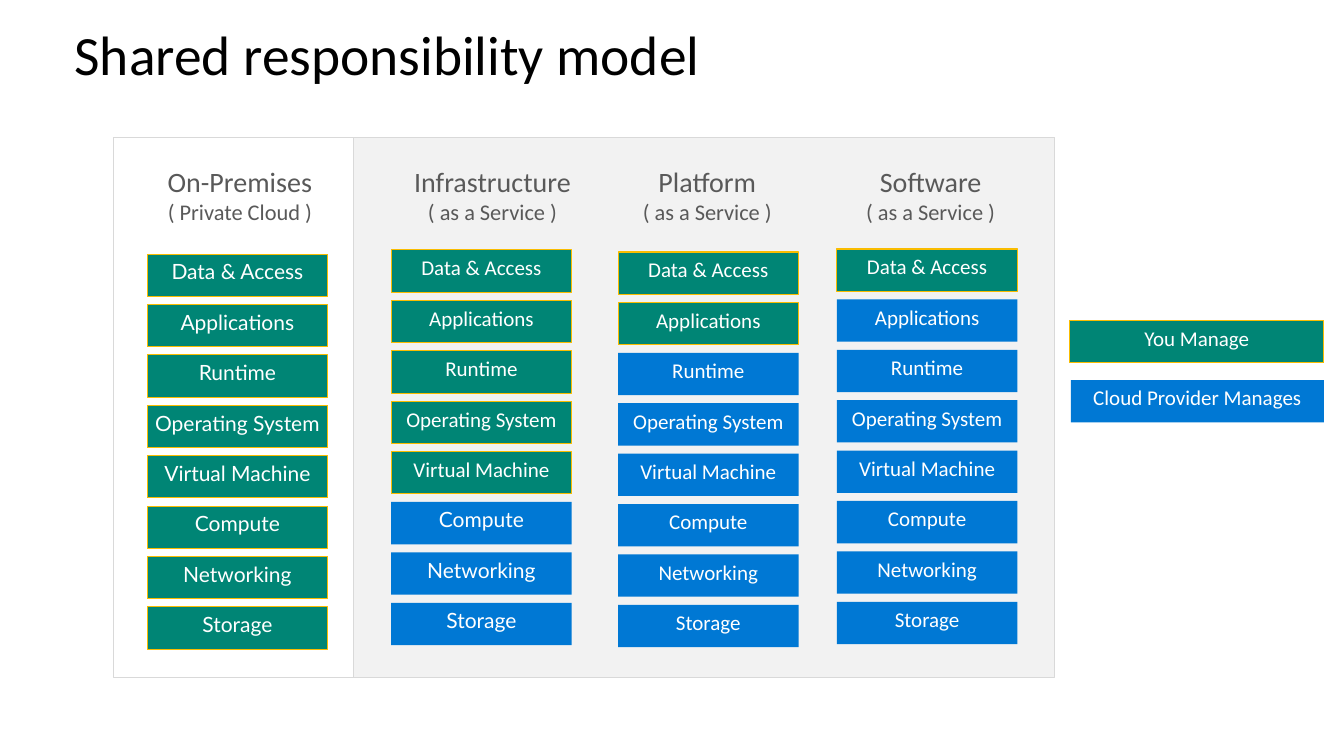
from dataclasses import dataclass

import pptx
import pptx.dml.color
import pptx.enum.shapes
import pptx.enum.text
import pptx.shapes.autoshape
import pptx.slide
import pptx.text.text
import pptx.util

Inches = pptx.util.Inches
Align = pptx.enum.text.PP_ALIGN
Anchor = pptx.enum.text.MSO_ANCHOR


@dataclass(frozen=True)
class Theme:
    customer: str = "008575"
    customer_border: str = "F9BC00"
    provider: str = "0078D4"
    panel: str = "F2F2F2"
    panel_border: str = "D9D9D9"
    title_text: str = "000000"
    heading_text: str = "595959"
    layer_text: str = "FFFFFF"
    main_font: str = "Calibri"
    accent_font: str = "Lato"
    title_size: float = 39.6
    heading_size: float = 20
    subheading_size: float = 16
    layer_size: float = 15
    border_width: float = 0.75


@dataclass(frozen=True)
class Frame:
    left: float
    top: float
    width: float
    height: float


@dataclass(frozen=True)
class ServiceModel:
    name: str
    subtitle: str
    heading_left: float
    heading_width: float
    stack_left: float
    stack_top: float
    customer_layers: int
    accent_layers: int = 0


@dataclass(frozen=True)
class LegendEntry:
    label: str
    frame: Frame
    customer: bool


THEME = Theme()
LAYERS = ["Data & Access", "Applications", "Runtime", "Operating System",
          "Virtual Machine", "Compute", "Networking", "Storage"]
LAYER_WIDTH, LAYER_HEIGHT, LAYER_PITCH = 1.79, 0.42, 0.5
HEADING_TOP, HEADING_HEIGHT = 1.63, 0.7
MODELS = [
    ServiceModel("On-Premises", "( Private Cloud )", 1.36, 2.04, 1.46, 2.52, 8, 8),
    ServiceModel("Infrastructure", "( as a Service )", 3.73, 2.31, 3.88, 2.48, 5, 3),
    ServiceModel("Platform", "( as a Service )", 5.92, 2.19, 6.13, 2.5, 2),
    ServiceModel("Software", "( as a Service )", 8.12, 2.22, 8.3, 2.47, 1),
]
LEGEND = [
    LegendEntry("You Manage", Frame(10.61, 3.18, 2.52, LAYER_HEIGHT), True),
    LegendEntry("Cloud Provider Manages", Frame(10.62, 3.77, 2.51, LAYER_HEIGHT), False),
]


def rgb(value: str) -> pptx.dml.color.RGBColor:
    return pptx.dml.color.RGBColor.from_string(value)


def lengths(frame: Frame) -> list[pptx.util.Length]:
    return [Inches(value) for value in (frame.left, frame.top, frame.width, frame.height)]


def write(para: pptx.text.text._Paragraph, text: str, size: float, color: str,
          font: str = THEME.main_font, align: Align = Align.CENTER) -> None:
    para.text = text
    para.alignment = align
    para.font.size = pptx.util.Pt(size)
    para.font.name = font
    para.font.color.rgb = rgb(color)


def add_box(page: pptx.slide.Slide, frame: Frame, fill: str | None,
            border: str | None) -> pptx.shapes.autoshape.Shape:
    box = page.shapes.add_shape(pptx.enum.shapes.MSO_SHAPE.RECTANGLE, *lengths(frame))
    box.shadow.inherit = False
    if fill:
        box.fill.solid()
        box.fill.fore_color.rgb = rgb(fill)
    else:
        box.fill.background()
    if border:
        box.line.color.rgb = rgb(border)
        box.line.width = pptx.util.Pt(THEME.border_width)
    else:
        box.line.fill.background()
    return box


def add_layer(page: pptx.slide.Slide, frame: Frame, label: str, customer: bool,
              font: str = THEME.main_font) -> None:
    fill = THEME.customer if customer else THEME.provider
    border = THEME.customer_border if customer else None
    text_frame = add_box(page, frame, fill, border).text_frame
    text_frame.word_wrap = True
    text_frame.vertical_anchor = Anchor.TOP
    text_frame.margin_left = text_frame.margin_right = 0
    write(text_frame.paragraphs[0], label, THEME.layer_size, THEME.layer_text, font)


def add_title(page: pptx.slide.Slide, text: str) -> None:
    text_frame = page.shapes.add_textbox(*lengths(Frame(0.64, 0.27, 12.05, 0.61))).text_frame
    text_frame.word_wrap = True
    text_frame.vertical_anchor = Anchor.MIDDLE
    para = text_frame.paragraphs[0]
    para.line_spacing = 0.9
    write(para, text, THEME.title_size, THEME.title_text, align=Align.LEFT)


def add_model(page: pptx.slide.Slide, model: ServiceModel) -> None:
    frame = Frame(model.heading_left, HEADING_TOP, model.heading_width, HEADING_HEIGHT)
    text_frame = page.shapes.add_textbox(*lengths(frame)).text_frame
    text_frame.word_wrap = True
    text_frame.margin_left = text_frame.margin_right = 0
    text_frame.margin_top = text_frame.margin_bottom = 0
    write(text_frame.paragraphs[0], model.name, THEME.heading_size, THEME.heading_text)
    write(text_frame.add_paragraph(), model.subtitle, THEME.subheading_size, THEME.heading_text)
    for row, label in enumerate(LAYERS):
        accented = row >= len(LAYERS) - model.accent_layers
        top = model.stack_top + row * LAYER_PITCH
        add_layer(page, Frame(model.stack_left, top, LAYER_WIDTH, LAYER_HEIGHT), label,
                  row < model.customer_layers,
                  THEME.accent_font if accented else THEME.main_font)


def main() -> None:
    deck = pptx.Presentation()
    deck.slide_width, deck.slide_height = Inches(13.33), Inches(7.5)
    page = deck.slides.add_slide(deck.slide_layouts[6])
    add_title(page, "Shared responsibility model")
    add_box(page, Frame(3.51, 1.36, 6.95, 5.36), THEME.panel, THEME.panel_border)
    add_box(page, Frame(1.13, 1.36, 2.38, 5.36), None, THEME.panel_border)
    for model in MODELS:
        add_model(page, model)
    for entry in LEGEND:
        add_layer(page, entry.frame, entry.label, entry.customer)
    deck.save("out.pptx")


if __name__ == "__main__":
    main()
